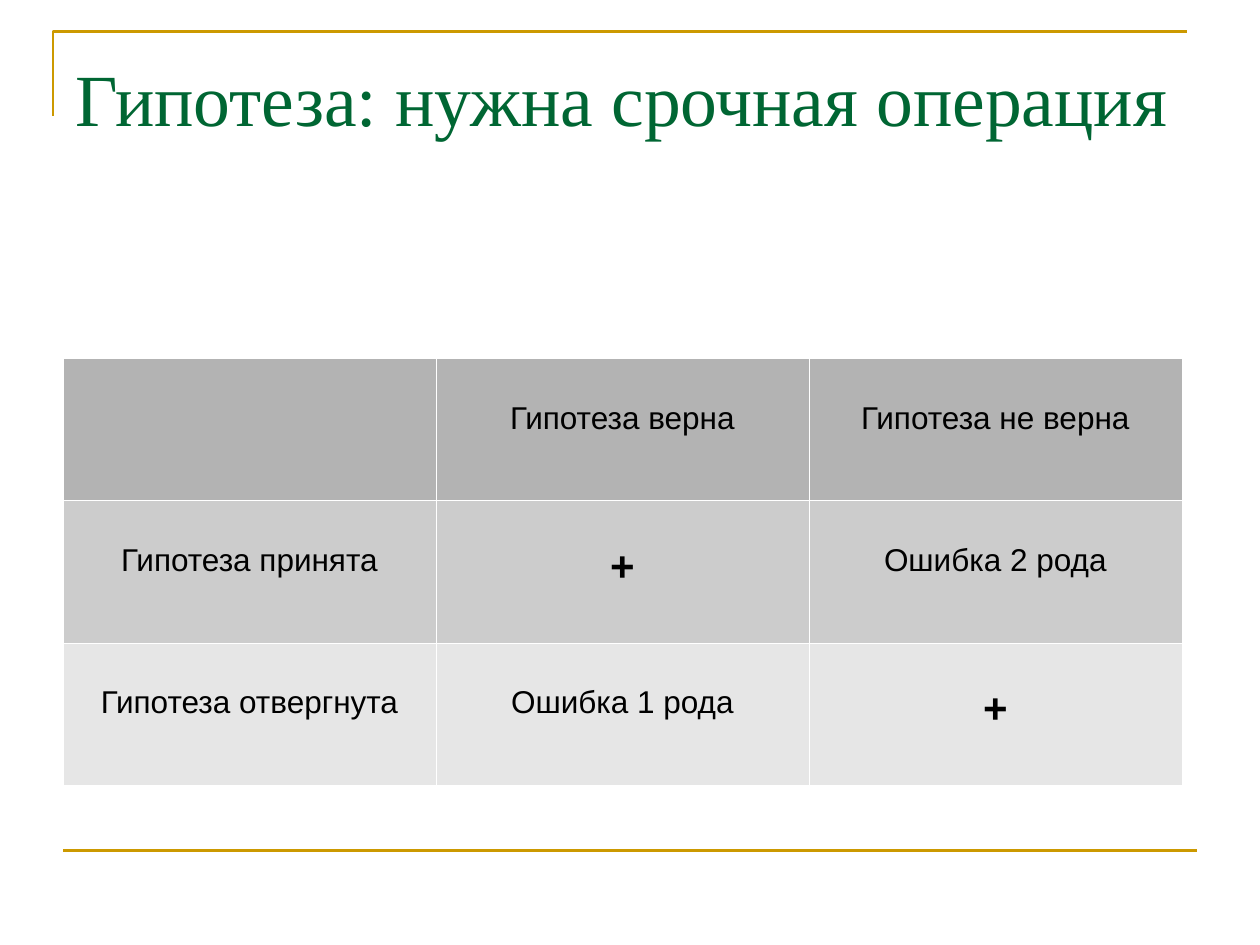
from lxml import etree
from pptx import Presentation
from pptx.dml.color import RGBColor
from pptx.enum.shapes import MSO_CONNECTOR
from pptx.enum.text import MSO_ANCHOR, PP_ALIGN
from pptx.oxml.ns import qn
from pptx.util import Inches, Pt

GOLD = RGBColor(0xCC, 0x99, 0x00)
GREEN = RGBColor(0x00, 0x66, 0x33)
BLACK = RGBColor(0x00, 0x00, 0x00)
WHITE = RGBColor(0xFF, 0xFF, 0xFF)
ROW_FILLS = [RGBColor(shade, shade, shade) for shade in (0xB3, 0xCC, 0xE6)]
STRAIGHT = MSO_CONNECTOR.STRAIGHT
TOP = MSO_ANCHOR.TOP
CENTER = PP_ALIGN.CENTER

TITLE = "Гипотеза: нужна срочная операция"
OUTCOMES = [
    ["", "Гипотеза верна", "Гипотеза не верна"],
    ["Гипотеза принята", "+", "Ошибка 2 рода"],
    ["Гипотеза отвергнута", "Ошибка 1 рода", "+"],
]
TITLE_FONT = {"name": "Times New Roman", "size": Pt(42)}
CELL_FONT = {"name": "Arial", "size": Pt(18), "bold": False}
PLUS_FONT = {"name": "Arial", "size": Pt(24), "bold": True}

WIDTH, HEIGHT = Inches(10), Inches(7.5)
MARGIN = int(WIDTH * 0.05)
CONTENT_WIDTH = WIDTH - 2 * MARGIN
CORNER = [(0.42, 0.92), (0.42, 0.25), (9.42, 0.25)]
RULE_TOP = int(HEIGHT * 0.9)
TABLE_TOP = Inches(2.84)
COLUMN_WIDTH, ROW_HEIGHT = Inches(2.96), Inches(1.13)
CELL_TOP_INSET = Inches(0.34)
BORDER_SIDES = ("a:lnL", "a:lnR", "a:lnT", "a:lnB")
BORDER_WIDTH = Pt(0.06)


def write(paragraph, text, font_values, color):
    span = paragraph.add_run()
    span.text = text
    for name, value in font_values.items():
        setattr(span.font, name, value)
    span.font.color.rgb = color


def style_line(shape):
    shape.line.color.rgb = GOLD
    shape.line.width = Pt(1.5)


def add_frame_lines(page):
    points = [(Inches(x), Inches(y)) for x, y in CORNER]
    builder = page.shapes.build_freeform(*points[0])
    builder.add_line_segments(points[1:], close=False)
    corner = builder.convert_to_shape()
    corner.fill.background()
    corner.shadow.inherit = False
    style_line(corner)

    rule = page.shapes.add_connector(
        STRAIGHT, MARGIN, RULE_TOP, MARGIN + CONTENT_WIDTH, RULE_TOP)
    style_line(rule)
    etree.SubElement(rule._element.spPr, qn("a:effectLst"))


def add_title(page):
    box = page.shapes.add_textbox(
        MARGIN, int(HEIGHT * 0.04), CONTENT_WIDTH, int(HEIGHT * 0.2))
    frame = box.text_frame
    frame.word_wrap = True
    frame.vertical_anchor = TOP
    frame.margin_top = Inches(0.12)
    write(frame.paragraphs[0], TITLE, TITLE_FONT, GREEN)


def add_borders(cell):
    properties = cell._tc.get_or_add_tcPr()
    for position, side in enumerate(BORDER_SIDES):
        border = etree.Element(qn(side), w=str(int(BORDER_WIDTH)))
        fill = etree.SubElement(border, qn("a:solidFill"))
        etree.SubElement(fill, qn("a:srgbClr"), val=str(WHITE))
        properties.insert(position, border)


def add_outcome_table(page):
    rows, columns = len(OUTCOMES), len(OUTCOMES[0])
    table = page.shapes.add_table(
        rows, columns, MARGIN, TABLE_TOP,
        COLUMN_WIDTH * columns, ROW_HEIGHT * rows).table
    for column in table.columns:
        column.width = COLUMN_WIDTH
    for row, texts, fill in zip(table.rows, OUTCOMES, ROW_FILLS):
        row.height = ROW_HEIGHT
        for cell, text in zip(row.cells, texts):
            cell.fill.solid()
            cell.fill.fore_color.rgb = fill
            add_borders(cell)
            cell.margin_top = CELL_TOP_INSET
            if text:
                para = cell.text_frame.paragraphs[0]
                para.alignment = CENTER
                write(para, text, PLUS_FONT if text == "+" else CELL_FONT, BLACK)


def main():
    deck = Presentation()
    deck.slide_width, deck.slide_height = WIDTH, HEIGHT
    page = deck.slides.add_slide(deck.slide_layouts[6])
    add_frame_lines(page)
    add_title(page)
    add_outcome_table(page)
    deck.save("out.pptx")


if __name__ == "__main__":
    main()
